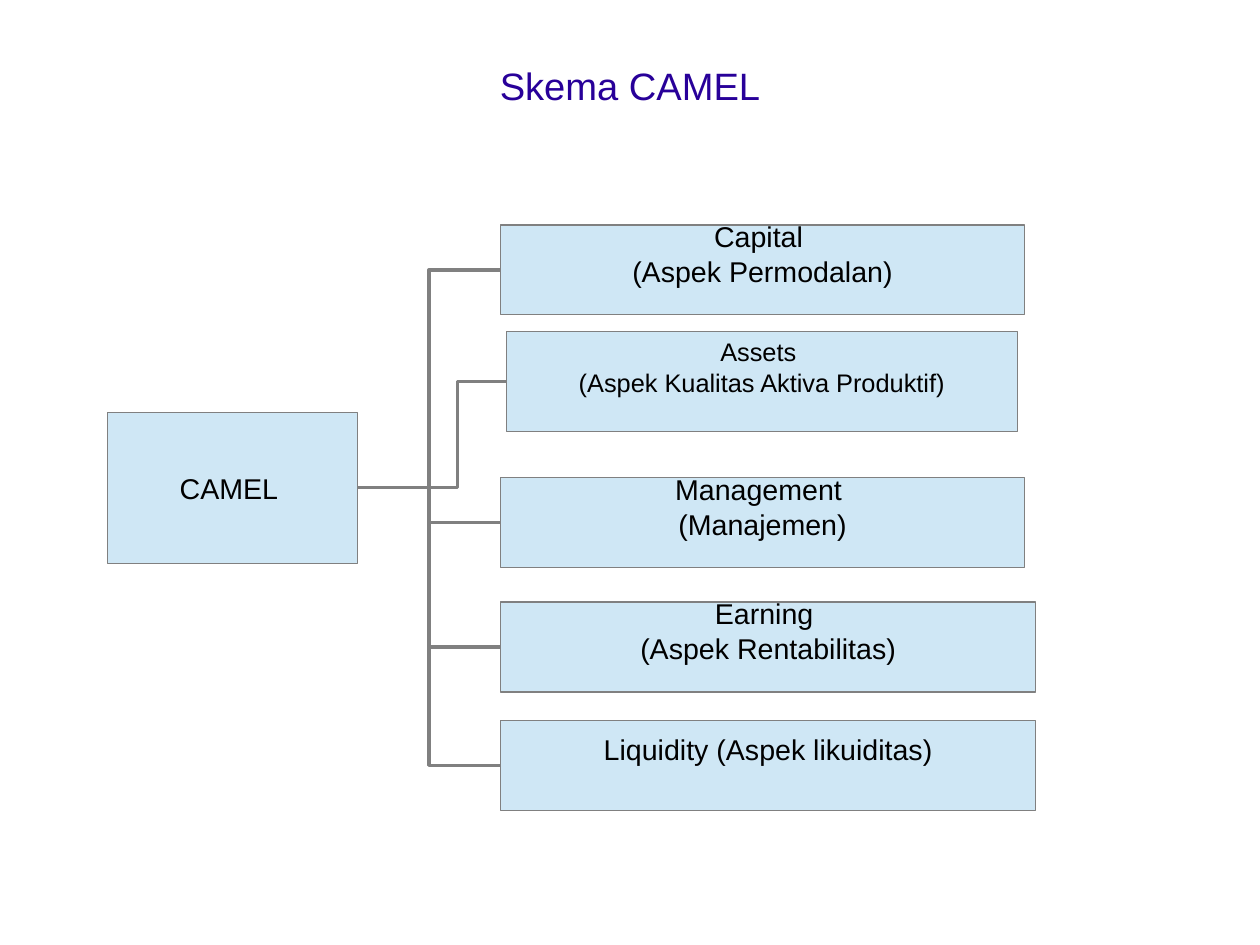
from lxml import etree
from pptx import Presentation
from pptx import util as u
from pptx.dml.color import RGBColor
from pptx.enum import shapes, text
from pptx.oxml.ns import qn

INDIGO = RGBColor(0x28, 0x00, 0x99)
BLACK = RGBColor(0x00, 0x00, 0x00)
PALE_BLUE = RGBColor(0xCF, 0xE7, 0xF5)
GRAY = RGBColor(0x80, 0x80, 0x80)
LINE_HEIGHT = 1.15
RIGHT, LEFT = 3, 1


def write_lines(box, lines, size, color, lift):
    frame = box.text_frame
    frame.vertical_anchor = text.MSO_ANCHOR.MIDDLE
    frame.margin_top = 0
    frame.margin_bottom = u.Pt(size * LINE_HEIGHT * lift)
    frame.text = "\n".join(lines)
    for para in frame.paragraphs:
        para.alignment = text.PP_ALIGN.CENTER
        para.font.name = "Arial"
        para.font.size = u.Pt(size)
        para.font.color.rgb = color


def style_line(line):
    line.color.rgb = GRAY
    line.width = u.Pt(0)


deck = Presentation()
deck.slide_width = u.Cm(28)
deck.slide_height = u.Cm(21)
page = deck.slides.add_slide(deck.slide_layouts[6])

title = page.shapes.add_textbox(u.Cm(1), u.Cm(1.04), u.Cm(26), u.Cm(2.67))
title.text_frame.word_wrap = True
write_lines(title, ["Skema CAMEL"], 24, INDIGO, 1)

nodes = [
    (2.39, 9.16, 5.55, 3.36, 18, 0, ["CAMEL "]),
    (11.13, 5, 11.63, 2, 18, 1, ["Capital ", "(Aspek Permodalan)"]),
    (11.25, 7.36, 11.36, 2.24, 16, 1, ["Assets ", "(Aspek Kualitas Aktiva Produktif)"]),
    (11.13, 10.62, 11.63, 2, 18, 1, ["Management ", "(Manajemen)"]),
    (11.13, 13.38, 11.88, 2, 18, 1, ["Earning ", "(Aspek Rentabilitas)"]),
    (11.13, 16.01, 11.88, 2, 18, 1, ["Liquidity (Aspek likuiditas)"]),
]
boxes = []
for left, top, width, height, size, lift, lines in nodes:
    box = page.shapes.add_shape(
        shapes.MSO_SHAPE.RECTANGLE, u.Cm(left), u.Cm(top), u.Cm(width), u.Cm(height)
    )
    box.shadow.inherit = False
    box.fill.solid()
    box.fill.fore_color.rgb = PALE_BLUE
    style_line(box.line)
    box.text_frame.word_wrap = False
    write_lines(box, lines, size, BLACK, lift)
    boxes.append(box)

camel, capital, assets, management, earning, liquidity = boxes
for aspect in (capital, assets, management, earning, liquidity):
    branch = page.shapes.add_connector(
        shapes.MSO_CONNECTOR.ELBOW,
        u.Cm(9.58), camel.top + camel.height // 2,
        aspect.left, aspect.top + aspect.height // 2,
    )
    if aspect is assets:
        guides = branch.element.spPr.find(qn("a:prstGeom")).get_or_add_avLst()
        etree.SubElement(guides, qn("a:gd"), name="adj1", fmla="val 35000")
    else:
        branch.begin_connect(camel, RIGHT)
    branch.end_connect(aspect, LEFT)
    style_line(branch.line)
    etree.SubElement(branch.element.spPr, qn("a:effectLst"))

deck.save("out.pptx")
